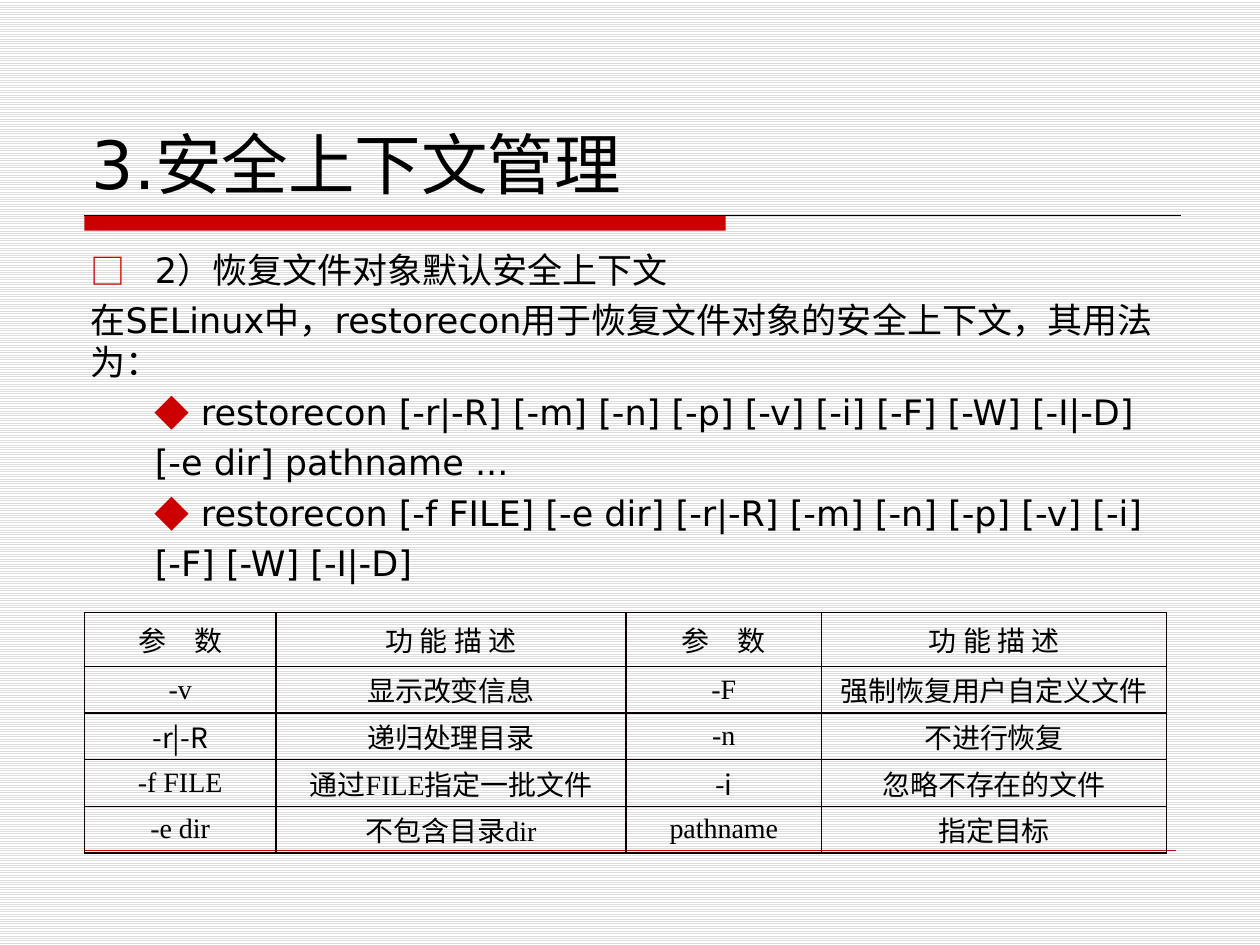
import dataclasses

import pptx
import pptx.dml.color
import pptx.enum.dml
import pptx.enum.shapes
import pptx.enum.text
import pptx.oxml
import pptx.oxml.ns
import pptx.util
from pptx.util import Inches, Pt


@dataclasses.dataclass(frozen=True)
class Theme:
    """Colours, fonts and type sizes of the slide."""
    ink: str = "000000"
    accent: str = "CC0000"
    stripe: str = "DDDDDD"
    paper: str = "FFFFFF"
    border: str = "080000"
    sans: str = "DejaVu Sans"
    serif: str = "Times New Roman"
    cjk: str = "Noto Sans CJK SC"
    title: int = 38
    body: int = 20
    cell: int = 16


THEME = Theme()
BODY = [
    ("□", -0.51, "2）恢复文件对象默认安全上下文"),
    (None, 0, "在SELinux中，restorecon用于恢复文件对象的安全上下文，其用法为："),
    ("◆", 0, " restorecon [-r|-R] [-m] [-n] [-p] [-v] [-i] [-F] [-W] [-I|-D] [-e dir] pathname ..."),
    ("◆", 0, " restorecon [-f FILE] [-e dir] [-r|-R] [-m] [-n] [-p] [-v] [-i] [-F] [-W] [-I|-D]"),
]
ROWS = [
    ["参　数", "功 能 描 述"] * 2,
    ["-v", "显示改变信息", "-F", "强制恢复用户自定义文件"],
    ["-r|-R", "递归处理目录", "-n", "不进行恢复"],
    ["-f FILE", "通过FILE指定一批文件", "-i", "忽略不存在的文件"],
    ["-e dir", "不包含目录dir", "pathname", "指定目标"],
]
COL_WIDTHS = [1.52, 2.78, 1.55, 2.74]
ROW_HEIGHTS = [0.43] + [0.37] * 4
SANS_CELLS = {"-r|-R", "-i", *ROWS[0]}


def rgb(value):
    """Turn a hex string into a colour."""
    return pptx.dml.color.RGBColor.from_string(value)


def xml(tag, inner="", attrs=""):
    """Make one DrawingML element."""
    ns = pptx.oxml.ns.nsdecls("a")
    return pptx.oxml.parse_xml(f"<a:{tag} {ns} {attrs}>{inner}</a:{tag}>")


def style_runs(p, size, font):
    """Format every run of a paragraph."""
    for r in p.runs:
        r.font.size = Pt(size)
        r.font.color.rgb = rgb(THEME.ink)
        r.font.name = font
        r._r.get_or_add_rPr().append(xml("ea", attrs=f'typeface="{THEME.cjk}"'))


def add_bullet(p, char, indent):
    """Give a paragraph a coloured bullet and its indents."""
    pPr = p._p.get_or_add_pPr()
    pPr.set("marL", str(Inches(0.51)))
    pPr.set("indent", str(Inches(indent)))
    pPr.append(xml("buClr", f'<a:srgbClr val="{THEME.accent}"/>'))
    pPr.append(xml("buFont", attrs=f'typeface="{THEME.cjk}"'))
    pPr.append(xml("buChar", attrs=f'char="{char}"'))


def add_textbox(s, left, top, width, height):
    """Add a wrapping text box and return its text frame."""
    sp = s.shapes.add_textbox(Inches(left), Inches(top), Inches(width), Inches(height))
    sp.text_frame.word_wrap = True
    return sp.text_frame


def add_rule(s, left, right, y, color, width):
    """Add a horizontal line."""
    cx = s.shapes.add_connector(pptx.enum.shapes.MSO_CONNECTOR.STRAIGHT,
                                Inches(left), Inches(y), Inches(right), Inches(y))
    cx.line.color.rgb = rgb(color)
    cx.line.width = Pt(width)
    cx._element.spPr.append(xml("effectLst"))


def add_bar(s, left, top, width, height):
    """Add the accent bar below the title."""
    sp = s.shapes.add_shape(pptx.enum.shapes.MSO_SHAPE.RECTANGLE,
                            Inches(left), Inches(top), Inches(width), Inches(height))
    sp.shadow.inherit = False
    sp.fill.solid()
    sp.fill.fore_color.rgb = rgb(THEME.accent)
    sp.line.fill.background()


def add_title(s, text):
    """Add the bottom-anchored title."""
    tf = add_textbox(s, 0.63, 0.33, 8.75, 1.33)
    tf.vertical_anchor = pptx.enum.text.MSO_ANCHOR.BOTTOM
    tf.text = text
    style_runs(tf.paragraphs[0], THEME.title, THEME.sans)


def add_body(s, items):
    """Add the bulleted body text."""
    tf = add_textbox(s, 0.62, 1.92, 8.75, 2.9)
    for i, (char, indent, text) in enumerate(items):
        p = tf.paragraphs[0] if i == 0 else tf.add_paragraph()
        p.text = text
        if char == "◆":
            p.line_spacing = 1.2
        else:
            p.space_before = Pt(4.5)
        if char:
            add_bullet(p, char, indent)
        style_runs(p, THEME.body, THEME.sans)


def fill_cell(cell, text):
    """Write, centre and border one table cell."""
    cell.margin_left = cell.margin_right = Inches(0.07)
    cell.margin_top = cell.margin_bottom = 0
    cell.vertical_anchor = pptx.enum.text.MSO_ANCHOR.MIDDLE
    cell.text_frame.text = text
    p = cell.text_frame.paragraphs[0]
    p.alignment = pptx.enum.text.PP_ALIGN.CENTER
    style_runs(p, THEME.cell, THEME.cjk if text in SANS_CELLS else THEME.serif)
    line = f'<a:solidFill><a:srgbClr val="{THEME.border}"/></a:solidFill>'
    for side in "LRTB":
        cell._tc.get_or_add_tcPr().append(xml(f"ln{side}", line, f'w="{Pt(1)}"'))
    cell.fill.background()


def add_table(s, rows):
    """Add the parameter table."""
    table = s.shapes.add_table(len(rows), len(COL_WIDTHS), Inches(0.67), Inches(4.86),
                               Inches(sum(COL_WIDTHS)), Inches(sum(ROW_HEIGHTS))).table
    table.first_row = table.horz_banding = False
    for column, width in zip(table.columns, COL_WIDTHS):
        column.width = Inches(width)
    for row, height, texts in zip(table.rows, ROW_HEIGHTS, rows):
        row.height = Inches(height)
        for cell, text in zip(row.cells, texts):
            fill_cell(cell, text)


def set_background(s):
    """Give the slide its striped background."""
    fill = s.background.fill
    fill.patterned()
    fill.pattern = pptx.enum.dml.MSO_PATTERN.LIGHT_HORIZONTAL
    fill.fore_color.rgb = rgb(THEME.stripe)
    fill.back_color.rgb = rgb(THEME.paper)


def main():
    """Build the slide and save it."""
    prs = pptx.Presentation()
    prs.slide_width, prs.slide_height = Inches(10), Inches(7.5)
    s = prs.slides.add_slide(prs.slide_layouts[6])
    set_background(s)
    add_bar(s, 0.67, 1.71, 5.09, 0.12)
    add_rule(s, 0.67, 9.37, 1.71, THEME.ink, 0.75)
    add_rule(s, 0.67, 9.33, 6.75, THEME.accent, 0.25)
    add_title(s, "3.安全上下文管理")
    add_body(s, BODY)
    add_table(s, ROWS)
    prs.save("out.pptx")


if __name__ == "__main__":
    main()
